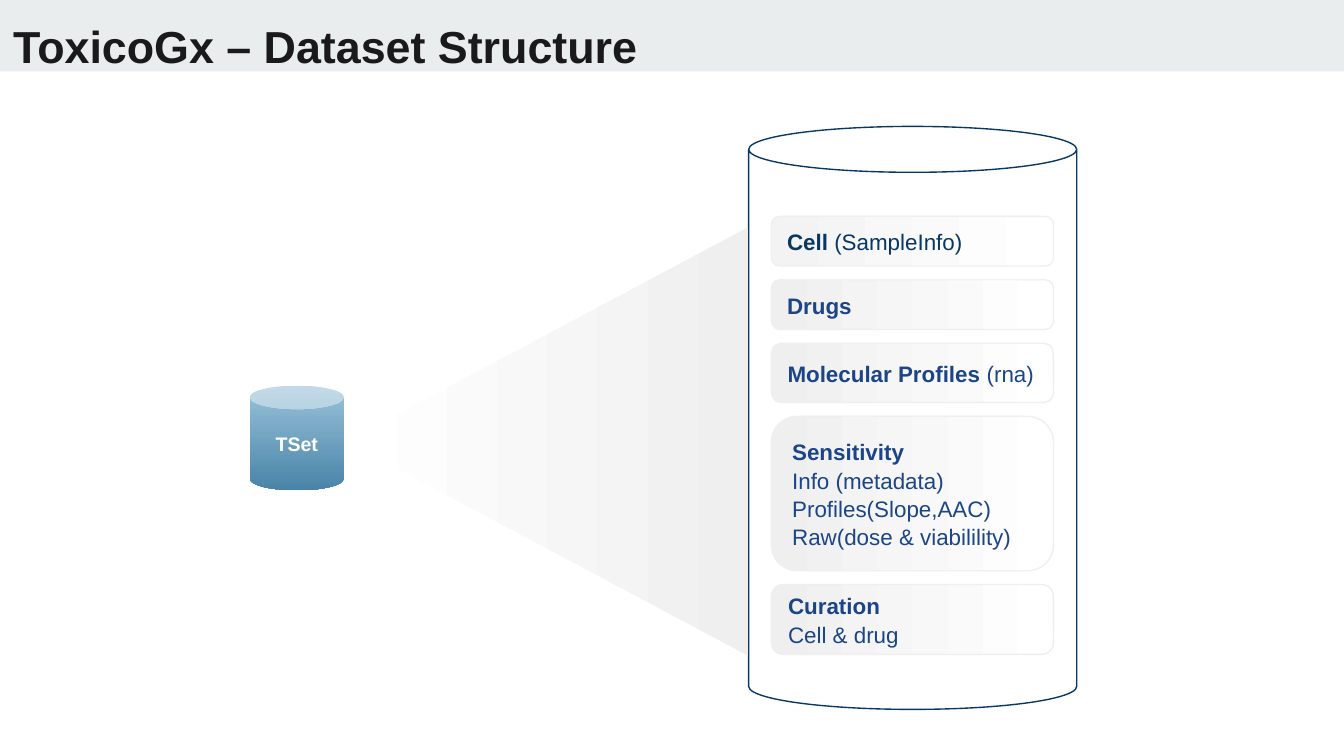
from pptx import Presentation
from pptx.dml.color import RGBColor
from pptx.enum.shapes import MSO_SHAPE
from pptx.enum.text import MSO_ANCHOR, PP_ALIGN
from pptx.util import Cm, Pt

# Content: each card has a height, text colour, grey shade and lines of (bold, plain)
TITLE = "ToxicoGx – Dataset Structure"
NAVY, BLUE, GREY = "073763", "1C4587", "EFEFEF"
CARDS = [
    (0.94, NAVY, "F3F3F3", [("Cell", " (SampleInfo)")]),
    (0.94, BLUE, GREY, [("Drugs", "")]),
    (1.12, BLUE, GREY, [("Molecular Profiles", " (rna)")]),
    (2.92, BLUE, GREY, [("Sensitivity", ""), ("", "Info (metadata)"),
                        ("", "Profiles(Slope,AAC)"),
                        ("", "Raw(dose & viabilility)")]),
    (1.32, BLUE, GREY, [("Curation", ""), ("", "Cell & drug")]),
]
LEFT, TOP, WIDTH, GAP = 14.58, 4.09, 5.33, 0.26


def paint(color, value):
    color.rgb = RGBColor.from_string(value)


def write(shape, lines, size=12, color=BLUE, align=PP_ALIGN.LEFT,
          anchor=MSO_ANCHOR.MIDDLE, pad=(0.25, 0.25), space=1.0):
    frame = shape.text_frame
    frame.word_wrap = True
    frame.vertical_anchor = anchor
    frame.margin_left = frame.margin_right = Cm(0.25)
    frame.margin_top, frame.margin_bottom = map(Cm, pad)
    for i, line in enumerate(lines):
        para = frame.add_paragraph() if i else frame.paragraphs[0]
        para.alignment, para.line_spacing = align, space
        for text, bold in zip(line, (True, False)):
            if text:
                run = para.add_run()
                run.text = text
                font = run.font
                font.name, font.size, font.bold = "Arial", Pt(size), bold
                paint(font.color, color)


def draw(kind, box, fill=None, line=None, angle=0, adj=None):
    shape = slide.shapes.add_shape(kind, *map(Cm, box))
    shape.shadow.inherit = False
    if adj is not None:
        shape.adjustments[0] = adj
    if fill is None:
        shape.fill.background()
    elif isinstance(fill, str):
        shape.fill.solid()
        paint(shape.fill.fore_color, fill)
    else:
        shape.fill.gradient()
        shape.fill.gradient_angle = angle
        for stop, value in zip(shape.fill.gradient_stops, fill):
            paint(stop.color, value)
    if line:
        paint(shape.line.color, line)
        shape.line.width = Pt(0.75)
    else:
        shape.line.fill.background()
    return shape


deck = Presentation()
deck.slide_width, deck.slide_height = Cm(25.4), Cm(14.29)
slide = deck.slides.add_slide(deck.slide_layouts[5])

# Title on its band
band = draw(MSO_SHAPE.RECTANGLE, (0, 0, 25.4, 1.35), "E9EDEE")
slide.shapes._spTree.insert(2, band._element)
title = slide.shapes.title
title.left, title.top, title.width, title.height = map(Cm, (0, 0, 24.54, 1.5))
write(title, [(TITLE, "")], size=24, color="1A1A1A",
      anchor=MSO_ANCHOR.TOP, pad=(0.35, 0))

# Small set and the large store it opens into
tset = draw(MSO_SHAPE.CAN, (4.72, 7.29, 1.78, 1.98), ("9AC2DA", "4984A8"),
            angle=270, adj=0.25)
write(tset, [("TSet", "")], size=10.5, color="FFFFFF",
      align=PP_ALIGN.CENTER, pad=(0.13, 0.13))
draw(MSO_SHAPE.CAN, (14.15, 2.39, 6.2, 11.02), line=NAVY, adj=0.14)

# Cards stacked inside the store
top = TOP
for height, color, shade, lines in CARDS:
    card = draw(MSO_SHAPE.ROUNDED_RECTANGLE, (LEFT, top, WIDTH, height),
                ("FFFFFF", shade), line=GREY, angle=180, adj=0.167)
    write(card, lines, color=color, space=1.05)
    top += height + GAP

# Fading beam between the two
beam = draw(MSO_SHAPE.FLOWCHART_EXTRACT, (6.3, 4.55, 8.08, 7.59),
            ("FFFFFF", GREY), angle=270)
beam.rotation = 270

deck.save("out.pptx")
